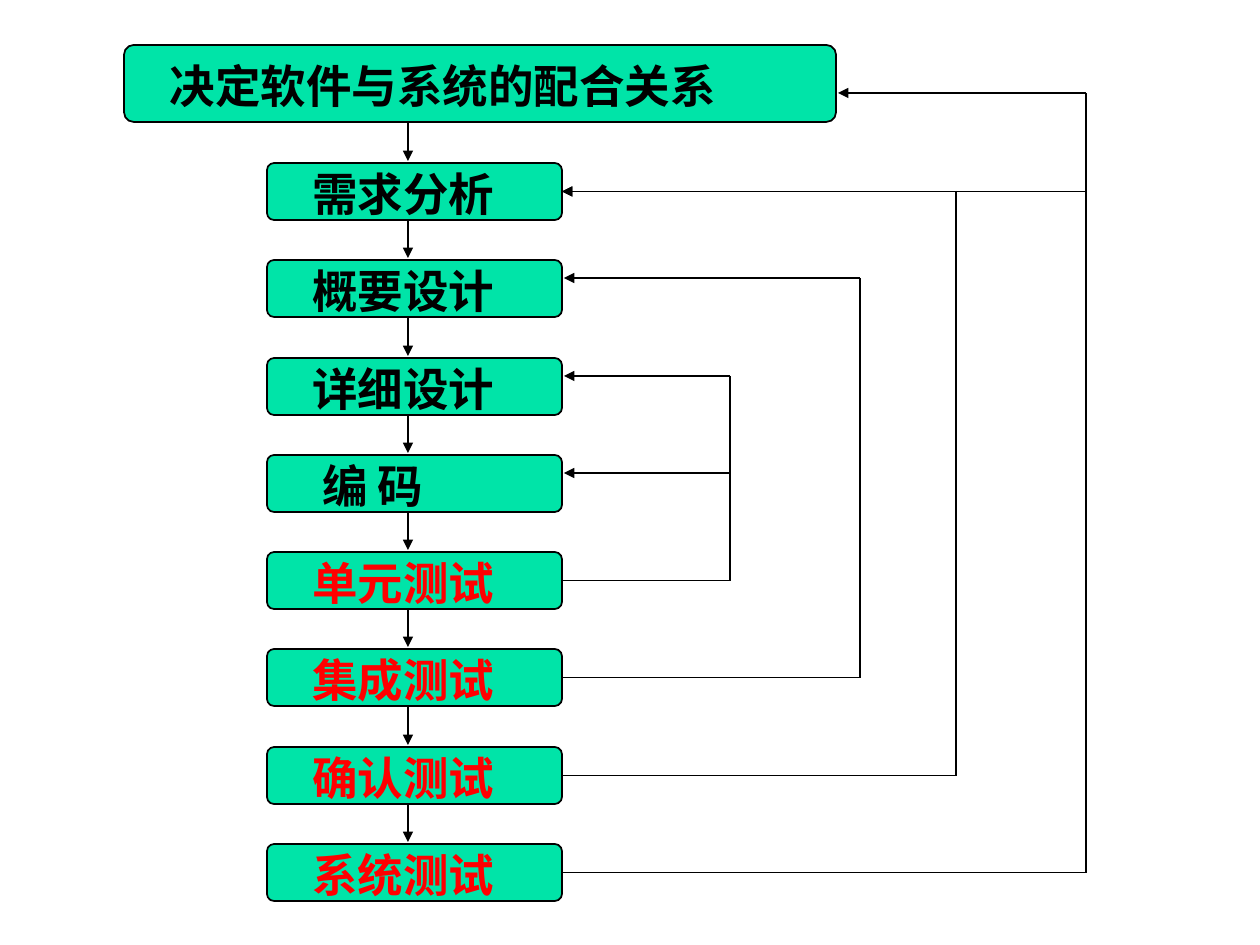
from dataclasses import dataclass

from lxml import etree
from pptx import Presentation
from pptx import util as u
from pptx.dml.color import RGBColor
from pptx.enum import shapes, text
from pptx.oxml.ns import qn

PX = u.Inches(1) / 126


@dataclass(frozen=True)
class Theme:
    fill: RGBColor = RGBColor(0x00, 0xE4, 0xA8)
    ink: RGBColor = RGBColor(0x00, 0x00, 0x00)
    test: RGBColor = RGBColor(0xFF, 0x00, 0x00)
    font: str = "Noto Sans CJK SC"
    size: int = 26
    line: int = 1


T = Theme()
STEPS = ["需求分析", "概要设计", "详细设计", "编 码",
         "单元测试", "集成测试", "确认测试", "系统测试"]
FIRST_TEST = 4
INDENT = 43
GAP = 2

# Test step, lane x, then the boxes it returns to with the arrow's offset from
# their middle. Box 0 is the system box; the steps follow from 1.
LOOPS = [
    (8, 1086, [(0, 10), (1, 0)]),
    (7, 956, [(1, 0)]),
    (6, 860, [(2, -10)]),
    (5, 730, [(3, -10), (4, -10)]),
]


def px(n):
    return u.Emu(round(n * PX))


def to_px(emu):
    return round(emu / PX)


def add_box(s, x, y, w, h, label, color, indent=INDENT):
    sp = s.shapes.add_shape(shapes.MSO_SHAPE.ROUNDED_RECTANGLE, px(x), px(y), px(w), px(h))
    sp.adjustments[0] = 0.125
    sp.shadow.inherit = False
    sp.fill.solid()
    sp.fill.fore_color.rgb = T.fill
    sp.line.color.rgb = T.ink
    sp.line.width = u.Pt(T.line)
    tf = sp.text_frame
    tf.word_wrap = True
    tf.vertical_anchor = text.MSO_ANCHOR.MIDDLE
    tf.margin_left, tf.margin_top = px(indent), px(4)
    tf.margin_right = tf.margin_bottom = 0
    p = tf.paragraphs[0]
    p.text = label
    p.alignment = text.PP_ALIGN.LEFT
    p.font.size = u.Pt(T.size)
    p.font.bold = True
    p.font.color.rgb = color
    p.font.name = T.font
    # Chinese glyphs take the East Asian font
    etree.SubElement(p._p.pPr.find(qn("a:defRPr")), qn("a:ea"), typeface=T.font)
    return sp


def add_line(s, x1, y1, x2, y2, arrow=None):
    """Draw a line; arrow is "headEnd" (start), "tailEnd" (finish) or None."""
    cx = s.shapes.add_connector(shapes.MSO_CONNECTOR.STRAIGHT, px(x1), px(y1), px(x2), px(y2))
    cx.line.color.rgb = T.ink
    cx.line.width = u.Pt(T.line)
    if arrow:
        etree.SubElement(cx.line._get_or_add_ln(), qn(f"a:{arrow}"), type="triangle")
    etree.SubElement(cx._element.spPr, qn("a:effectLst"))
    return cx


def add_steps(s, x, y, w, h):
    """Stack the steps evenly in the given box, the last one ending at its foot."""
    step_h = 57
    pitch = (h - step_h) / (len(STEPS) - 1)
    return [
        add_box(s, x, round(y + i * pitch), w, step_h, label,
                T.test if i >= FIRST_TEST else T.ink,
                INDENT + 10 if label == "编 码" else INDENT)
        for i, label in enumerate(STEPS)
    ]


def add_down_arrows(s, boxes, x):
    for upper, lower in zip(boxes, boxes[1:]):
        add_line(s, x, to_px(upper.top + upper.height) + 1, x, to_px(lower.top) - GAP, "tailEnd")


def add_side_line(s, box, lane, offset=0, arrow=None):
    """Run from the right side of a box to a lane and return the line's y."""
    y = to_px(box.top + box.height / 2) + offset
    cx = add_line(s, to_px(box.left + box.width) + GAP, y, lane, y, arrow)
    if not offset:
        cx.begin_connect(box, 3)
        cx.end_y = cx.begin_y
    return y


def add_loop(s, boxes, test, lane, targets):
    bottom = add_side_line(s, boxes[test], lane)
    tops = [add_side_line(s, boxes[i], lane, offset, "headEnd") for i, offset in targets]
    add_line(s, lane, min(tops), lane, bottom)


def main():
    prs = Presentation()
    prs.slide_width, prs.slide_height = px(1260), px(945)
    s = prs.slides.add_slide(prs.slide_layouts[6])
    system = add_box(s, 124, 45, 712, 77, "决定软件与系统的配合关系", T.ink)
    boxes = [system] + add_steps(s, 267, 163, 295, 738)
    add_down_arrows(s, boxes, 408)
    for loop in LOOPS:
        add_loop(s, boxes, *loop)
    prs.save("out.pptx")


if __name__ == "__main__":
    main()
